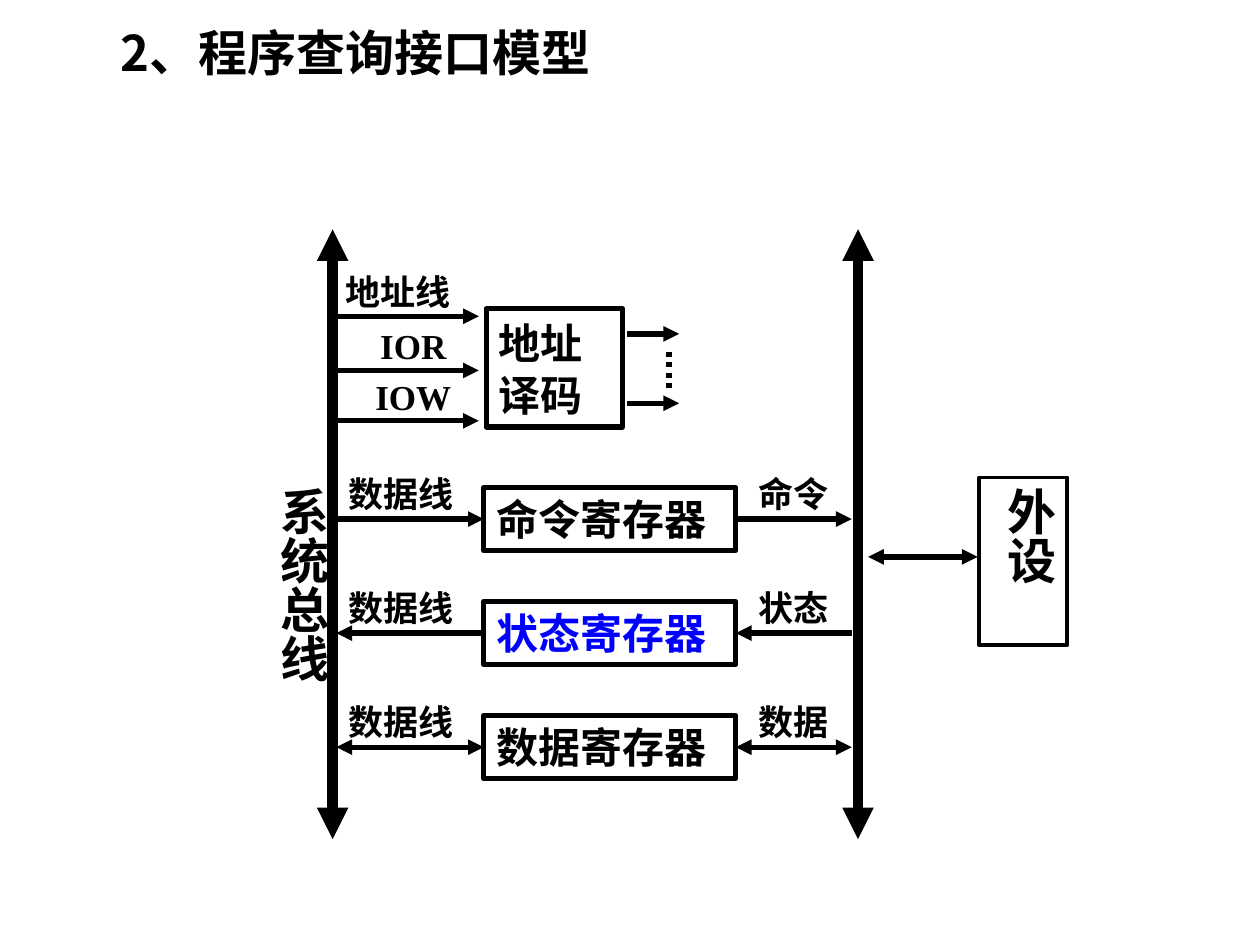
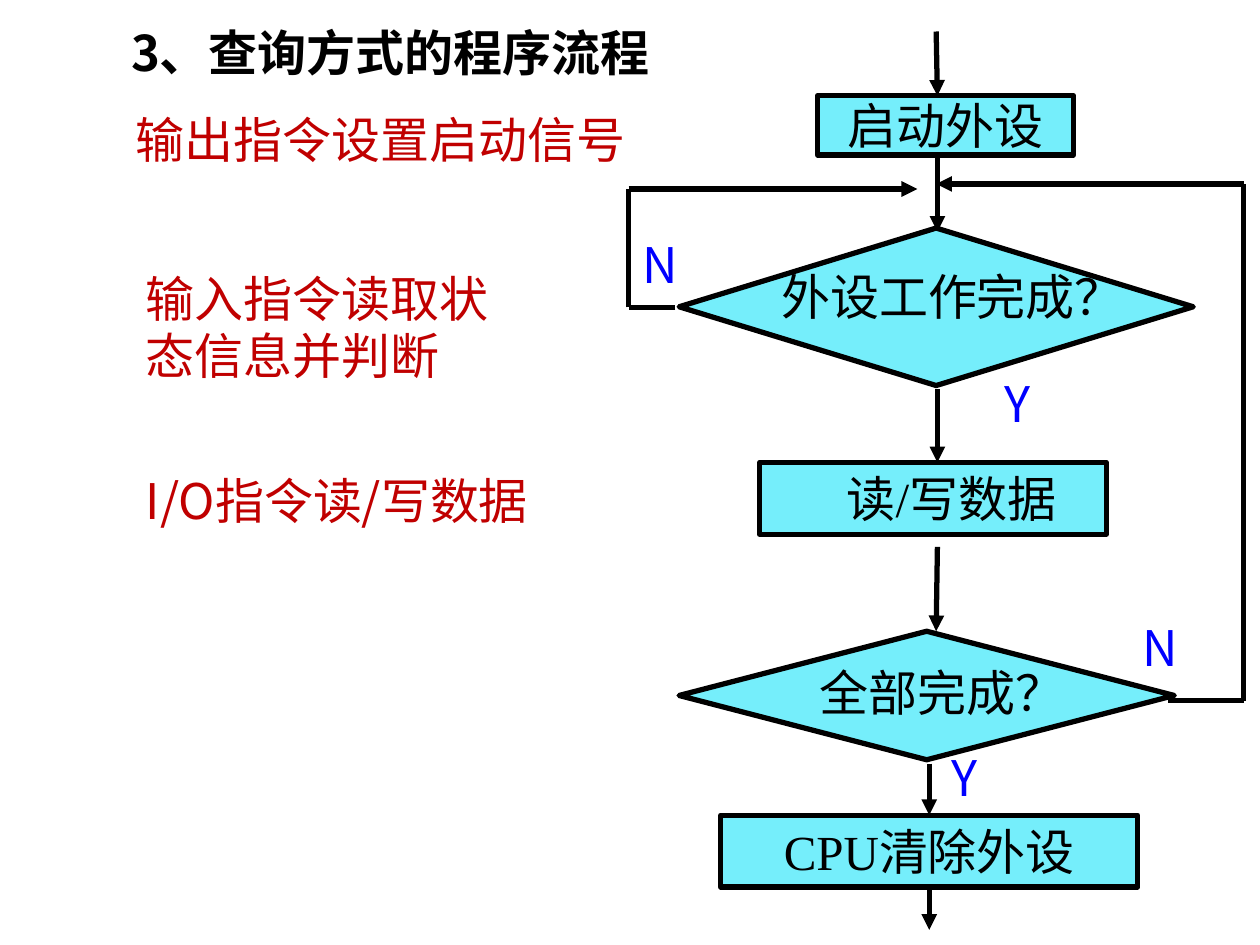
from dataclasses import dataclass
from typing import Any

from lxml.etree import SubElement
from pptx import Presentation
from pptx.dml.color import RGBColor
from pptx.enum.dml import MSO_LINE
from pptx.enum.shapes import MSO_CONNECTOR, MSO_SHAPE
from pptx.enum.text import MSO_ANCHOR, MSO_AUTO_SIZE, PP_ALIGN
from pptx.oxml.ns import qn
from pptx.util import Inches, Pt

BLACK = RGBColor(0x00, 0x00, 0x00)
BLUE = RGBColor(0x00, 0x00, 0xFF)
RED = RGBColor(0xC0, 0x00, 0x00)
CYAN = RGBColor(0x75, 0xEE, 0xFB)

SANS = "Noto Sans CJK SC"
SERIF = "Times New Roman"
LINE_WIDTH = 3
TITLE_ONLY = 5
LABEL_HEIGHT = 0.43
TEXT_HEIGHT = 0.57
TOP, LEFT, BOTTOM, RIGHT = range(4)


def write(shape, text, size, font=SERIF, color=BLACK, bold=False,
          align=PP_ALIGN.LEFT, spacing=None):
    """Put one formatted paragraph, centred in height, into a shape."""
    frame = shape.text_frame
    frame.text = text
    frame.word_wrap = True
    frame.auto_size = MSO_AUTO_SIZE.NONE
    frame.vertical_anchor = MSO_ANCHOR.MIDDLE
    frame.margin_left = frame.margin_right = Inches(0.1)
    frame.margin_top = frame.margin_bottom = 0
    para = frame.paragraphs[0]
    para.alignment = align
    para.space_before = Pt(0)
    if spacing:
        para.line_spacing = Pt(spacing)
    for span in para.runs:
        span.font.size = Pt(size)
        span.font.name = font
        span.font.bold = bold
        span.font.color.rgb = color
        east_asian = SubElement(span.font._element, qn("a:ea"))
        east_asian.set("typeface", SANS)


def set_vertical(shape):
    """Stack the characters in a column near the right side."""
    frame = shape.text_frame
    frame._txBody.bodyPr.set("vert", "eaVert")
    frame.margin_left, frame.margin_right = Inches(0.12), 0
    frame.margin_top = Inches(0.08)


@dataclass
class Region:
    """A part of a page; its shapes are placed from its top left corner."""
    page: Any
    left: float
    top: float
    width: float
    height: float

    def place(self, x, y):
        return Inches(self.left + x), Inches(self.top + y)

    def label(self, text, x, y, width, height, size, **style):
        box = self.page.shapes.add_textbox(
            *self.place(x, y), Inches(width), Inches(height))
        write(box, text, size, **style)
        return box

    def box(self, text, x, y, width, height, size, fill=None,
            kind=MSO_SHAPE.RECTANGLE, line_width=LINE_WIDTH, **style):
        box = self.page.shapes.add_shape(
            kind, *self.place(x, y), Inches(width), Inches(height))
        box.shadow.inherit = False
        if fill is None:
            box.fill.background()
        else:
            box.fill.solid()
            box.fill.fore_color.rgb = fill
        box.line.color.rgb = BLACK
        box.line.width = Pt(line_width)
        if text:
            write(box, text, size, **style)
        return box

    def line(self, start, end, arrows="", width=LINE_WIDTH, dash=None):
        """Draw a line; arrows names its pointed ends: head, tail or both."""
        line = self.page.shapes.add_connector(
            MSO_CONNECTOR.STRAIGHT, *self.place(*start), *self.place(*end))
        line.line.color.rgb = BLACK
        line.line.width = Pt(width)
        if dash:
            line.line.dash_style = dash
        properties = line._element.spPr
        outline = properties.find(qn("a:ln"))
        for name in ("head", "tail"):
            if name in arrows:
                SubElement(outline, qn(f"a:{name}End")).set("type", "triangle")
        SubElement(properties, qn("a:effectLst"))
        return line


def add_page(deck, title, left):
    page = deck.slides.add_slide(deck.slide_layouts[TITLE_ONLY])
    box = page.shapes.title
    box.left, box.top = Inches(left), Inches(0.13)
    box.width, box.height = Inches(6.58), Inches(TEXT_HEIGHT)
    write(box, title, 28, font=SANS, bold=True)
    return page


# Interface model

def add_buses(region):
    for x in (0, region.width):
        region.line((x, 0), (x, region.height), "head tail", width=6)
    name = region.label("系统总线", -0.63, 1.97, 0.67, 2.08, 28,
                        font=SANS, bold=True)
    set_vertical(name)


def add_decoder(region):
    signals = (("地址线", 0.41, PP_ALIGN.LEFT),
               ("IOR", 0.84, PP_ALIGN.CENTER),
               ("IOW", 1.24, PP_ALIGN.CENTER))
    for name, y, align in signals:
        region.line((0, y), (1.16, y), "tail")
        region.label(name, 0, y - 0.41, 1.28, LABEL_HEIGHT, 20,
                     bold=True, align=align)
    region.box("地址译码", 1.22, 0.35, 1.08, 0.94, 24, bold=True, spacing=30)

    # Select outputs
    for y in (0.55, 1.1):
        region.line((2.34, y), (region.width, y), "tail")
    region.line((2.67, 0.69), (2.67, 1.02), dash=MSO_LINE.ROUND_DOT)


def add_registers(region):
    # Register, its signal, arrows on the bus side and device side, colour
    rows = (("命令寄存器", "命令", "head", "tail", BLACK),
            ("状态寄存器", "状态", "tail", "head", BLUE),
            ("数据寄存器", "数据", "head tail", "head tail", BLACK))
    pitch = region.height / len(rows)
    for index, (name, signal, bus_arrows, device_arrows, color) in enumerate(rows):
        y = 0.45 + index * pitch
        register = region.box(name, 1.17, y - 0.25, 2, 0.5, 24,
                              bold=True, color=color)
        bus_line = region.line((1.17, y), (0, y), bus_arrows)
        bus_line.begin_connect(register, LEFT)
        device_line = region.line((3.17, y), (region.width, y), device_arrows)
        device_line.begin_connect(register, RIGHT)
        for text, x, width in (("数据线", 0, 1.83), (signal, 3.25, 1.42)):
            region.label(text, x, y - 0.42, width, LABEL_HEIGHT, 20, bold=True)


def add_device(region):
    box = region.box("外设", 0.88, 0, 0.7, region.height, 28,
                     line_width=2.25, font=SANS, bold=True)
    set_vertical(box)
    region.line((0, 0.63), (0.87, 0.63), "head tail")


def add_model_page(deck):
    page = add_page(deck, "2、程序查询接口模型", 0.86)
    add_buses(Region(page, 2.64, 1.82, 4.17, 4.84))
    add_decoder(Region(page, 2.64, 2.1, 2.75, 1.29))
    add_registers(Region(page, 2.67, 3.67, 4.09, 2.715))
    add_device(Region(page, 6.89, 3.79, 1.58, 1.33))


# Program flow

def add_step(region, text, x, y, width, height=TEXT_HEIGHT):
    return region.box(text, x, y, width, height, 28, fill=CYAN,
                      align=PP_ALIGN.CENTER)


def add_decision(region, text, size, text_box):
    """Draw a diamond at the region's corner with its question on top."""
    region.box("", 0, 0, *size, 28, fill=CYAN,
               kind=MSO_SHAPE.FLOWCHART_DECISION)
    region.label(text, *text_box, TEXT_HEIGHT, 28, align=PP_ALIGN.CENTER)


def add_answer(region, text, x, y):
    region.label(text, x, y, 0.75, TEXT_HEIGHT, 28, font=SANS, color=BLUE)


def add_route(region, points):
    """Join the points with lines, the last one with an arrowhead."""
    for start, end in zip(points, points[1:]):
        region.line(start, end, "tail" if end == points[-1] else "")


def add_start(region):
    region.line((0.94, 0), (0.95, 0.51), "tail")
    add_step(region, "启动外设", 0, 0.51, region.width, 0.47)
    region.line((0.95, 1), (0.95, region.height), "tail")


def add_wait_check(region):
    add_decision(region, "外设工作完成？", (region.width, region.height),
                 (0.42, 0.25, 3.5))
    add_route(region, ((-0.03, 0.63), (-0.4, 0.63), (-0.4, -0.31), (1.89, -0.31)))
    add_answer(region, "N", -0.39, 0)
    add_answer(region, "Y", 2.48, 1.1)
    region.line((2.05, 1.28), (2.05, 1.86), "tail")


def add_transfer(region):
    step = add_step(region, "读/写数据", 0, 0, region.width)
    step.text_frame.margin_left = Inches(0.39)
    region.line((1.41, 0.67), (1.4, region.height), "tail")


def add_end_check(region):
    add_decision(region, "全部完成？", (region.width, region.height),
                 (0.4, 0.2, 3.37))
    add_route(region, ((3.88, 0.55), (4.48, 0.55), (4.48, -3.55), (2.04, -3.55)))
    add_answer(region, "N", 3.58, -0.16)
    add_answer(region, "Y", 2.06, 0.87)


def add_clear(region):
    middle = region.width / 2
    step = add_step(region, "CPU清除外设", 0, 0.41, region.width)
    arrow_in = region.line((middle, 0), (middle, 0.41), "tail")
    arrow_in.end_connect(step, TOP)
    arrow_out = region.line((middle, 0.98), (middle, region.height), "tail")
    arrow_out.begin_connect(step, BOTTOM)


def add_notes_column(region):
    notes = (("输出指令设置启动信号", 0, 0, 4.76, TEXT_HEIGHT),
             ("输入指令读取状态信息并判断", 0.08, 1.26, 3.06, 1.03),
             ("I/O指令读/写数据", 0.08, 2.86, 3.8, TEXT_HEIGHT))
    for text, x, y, width, height in notes:
        region.label(text, x, y, width, height, 28, font=SANS, color=RED,
                     spacing=33 if height > TEXT_HEIGHT else None)


def add_flow_page(deck):
    page = add_page(deck, "3、查询方式的程序流程", 0.94)
    add_notes_column(Region(page, 0.98, 0.82, 4.76, 3.43))
    add_start(Region(page, 6.49, 0.25, 2.03, 1.59))
    add_wait_check(Region(page, 5.39, 1.81, 4.08, 1.25))
    add_transfer(Region(page, 6.03, 3.67, 2.75, 1.34))
    add_end_check(Region(page, 5.39, 5.01, 3.93, 1.02))
    add_clear(Region(page, 5.72, 6.06, 3.31, 1.32))


def main():
    deck = Presentation()
    deck.slide_width, deck.slide_height = Inches(10), Inches(7.5)
    add_model_page(deck)
    add_flow_page(deck)
    deck.save("out.pptx")


if __name__ == "__main__":
    main()
